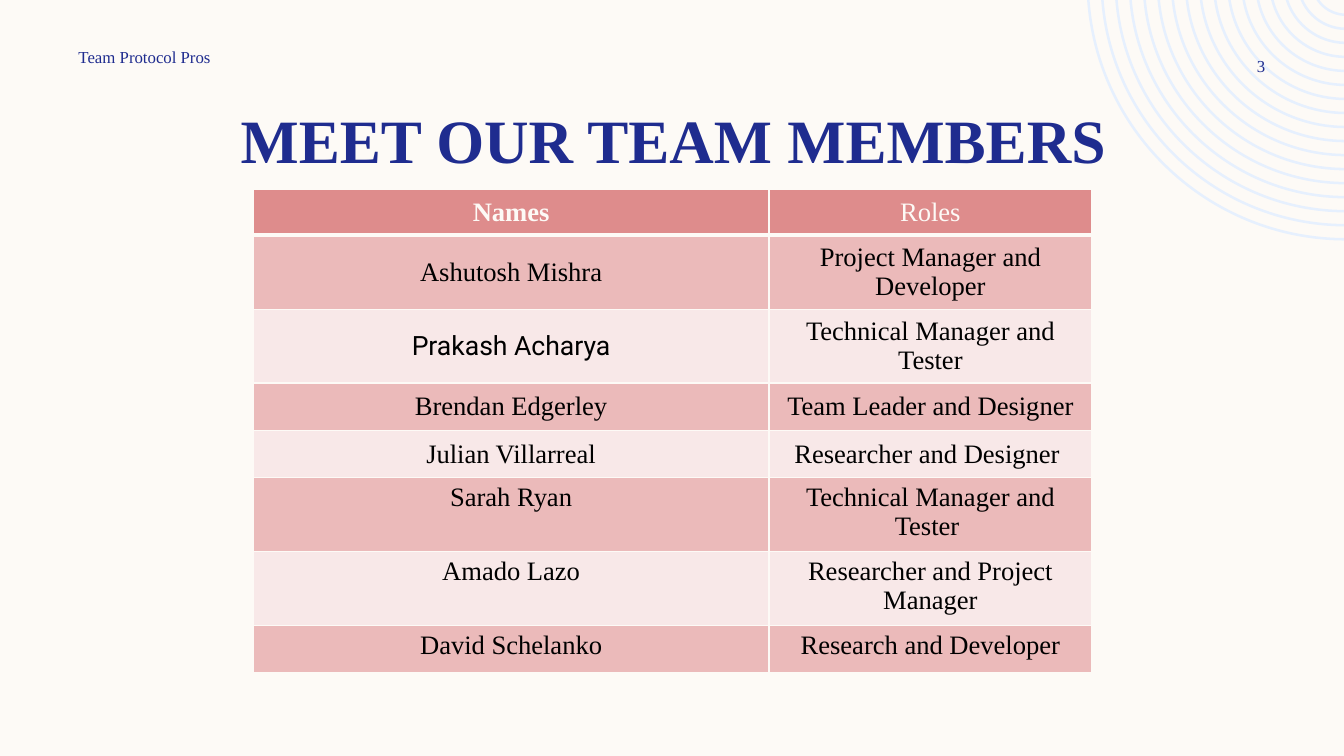
from math import asin, acos, cos, sin, tan

from lxml.etree import SubElement
from pptx import Presentation
from pptx.dml.color import RGBColor
from pptx.enum.text import MSO_ANCHOR as Anchor, PP_ALIGN as Align
from pptx.oxml import parse_xml
from pptx.oxml.ns import nsdecls, qn
from pptx.util import Pt

COLORS = {
    "paper": "FDFAF6", "navy": "1F2C8F", "black": "000000", "ring": "E6F0FE",
    "header": "DE8C8C", "rose": "EBBABA", "blush": "F8E8E8",
}
SERIF, SANS = "Times New Roman", "Roboto"

# name, role, name font, vertical anchor
MEMBERS = [
    ("Ashutosh Mishra", "Project Manager and Developer", SERIF, Anchor.MIDDLE),
    ("Prakash Acharya", "Technical Manager and Tester", SANS, Anchor.MIDDLE),
    ("Brendan Edgerley", "Team Leader and\u00a0Designer", SERIF, Anchor.MIDDLE),
    ("Julian Villarreal", "Researcher and Designer\u00a0", SERIF, Anchor.MIDDLE),
    ("Sarah Ryan", "Technical Manager and Tester\u00a0", SERIF, Anchor.TOP),
    ("Amado Lazo", "Researcher and Project Manager", SERIF, Anchor.TOP),
    ("David Schelanko", "Research and Developer", SERIF, Anchor.TOP),
]


def color(name):
    return RGBColor.from_string(COLORS[name])


def write(frame, text, size, ink, align=Align.CENTER, font=SERIF, bold=False):
    para = frame.paragraphs[0]
    para.alignment = align
    span = para.add_run()
    span.text = text
    span.font.name, span.font.size, span.font.bold = font, Pt(size), bold
    span.font.color.rgb = color(ink)


def add_label(page, box, text, size, anchor=Anchor.MIDDLE, **style):
    frame = page.shapes.add_textbox(*map(Pt, box)).text_frame
    frame.word_wrap = True
    frame.vertical_anchor = anchor
    write(frame, text, size, "navy", **style)


def bend(first, second, third):
    """Merge three line segments into one Bezier curve."""
    curve = parse_xml(f'<a:cubicBezTo {nsdecls("a")}/>')
    first.addprevious(curve)
    for segment in (first, second, third):
        curve.append(segment[0])
        segment.getparent().remove(segment)


def add_rings(page, box, count=17, step=10.02, band=1.8):
    """Concentric quarter rings, cut off by the top and right of the box."""
    left, top, width, height = box
    center_x, center_y = left + width + 1.4, top - 13.6

    def arc(radius):
        # The angle runs from the top edge down to the right edge
        start = asin((top - center_y) / radius)
        end = acos((center_x - left - width) / radius)
        reach = 4 / 3 * tan((end - start) / 4)
        points = [(cos(start), sin(start)),
                  (cos(start) - reach * sin(start), sin(start) + reach * cos(start)),
                  (cos(end) + reach * sin(end), sin(end) - reach * cos(end)),
                  (cos(end), sin(end))]
        return [(Pt(center_x - radius * x), Pt(center_y + radius * y))
                for x, y in points]

    builder = None
    for index in range(count):
        radius = height - (center_y - top) - index * step
        outline = arc(radius) + arc(radius - band)[::-1]
        if builder is None:
            builder = page.shapes.build_freeform(*outline[0])
        else:
            builder.move_to(*outline[0])
        builder.add_line_segments(outline[1:], close=False)
    rings = builder.convert_to_shape()
    # Each ring has seven segments: outer curve, edge, inner curve
    lines = list(rings._element.iter(qn("a:lnTo")))
    for index in range(0, len(lines), 7):
        bend(*lines[index:index + 3])
        bend(*lines[index + 4:index + 7])
    rings.shadow.inherit = False
    rings.fill.solid()
    rings.fill.fore_color.rgb = color("ring")
    rings.line.fill.background()


def set_borders(cell, widths):
    properties = cell._tc.get_or_add_tcPr()
    for index, (side, width) in enumerate(widths.items()):
        line = parse_xml(f'<a:ln{side} {nsdecls("a")} w="{Pt(width)}"/>')
        fill = SubElement(line, qn("a:solidFill"))
        SubElement(fill, qn("a:srgbClr"), val=COLORS["paper"])
        properties.insert(index, line)


def add_team_table(page, box):
    rows = [("Names", "Roles", SERIF, Anchor.MIDDLE)] + MEMBERS
    table = page.shapes.add_table(len(rows), 2, *map(Pt, box)).table
    table.first_row = table.horz_banding = False
    for column, share in zip(table.columns, (0.615, 0.385)):
        column.width = Pt(box[2] * share)
    for index, (name, role, name_font, anchor) in enumerate(rows):
        is_header = index == 0
        table.rows[index].height = Pt(32.4 if is_header else 33.84)
        fill = "header" if is_header else ("blush", "rose")[index % 2]
        for column, (text, font) in enumerate(((name, name_font), (role, SERIF))):
            cell = table.cell(index, column)
            cell.vertical_anchor = anchor
            cell.fill.solid()
            cell.fill.fore_color.rgb = color(fill)
            write(cell.text_frame, text, 19, "paper" if is_header else "black",
                  font=font, bold=is_header and column == 0)
            # A heavier rule parts the header from the members
            set_borders(cell, {"L": 1, "R": 1, "T": 3 if index == 1 else 1,
                               "B": 3 if is_header else 1})


def add_team_page(deck):
    page = deck.slides.add_slide(deck.slide_layouts[6])
    page.background.fill.solid()
    page.background.fill.fore_color.rgb = color("paper")
    add_rings(page, (777, 0, 183, 171.8))
    # Title
    add_label(page, (61.2, 69, 840.2, 60.5), "MEET OUR TEAM MEMBERS", 44,
              Anchor.BOTTOM, bold=True)
    add_team_table(page, (180.9, 135.6, 599, 269.3))
    # Team name and page number
    add_label(page, (49, 29.5, 252, 21.6), "Team Protocol Pros", 12, align=Align.LEFT)
    add_label(page, (861.8, 36, 77.8, 21.6), "3", 12)


deck = Presentation()
deck.slide_width, deck.slide_height = Pt(960), Pt(540)
add_team_page(deck)
deck.save("out.pptx")
